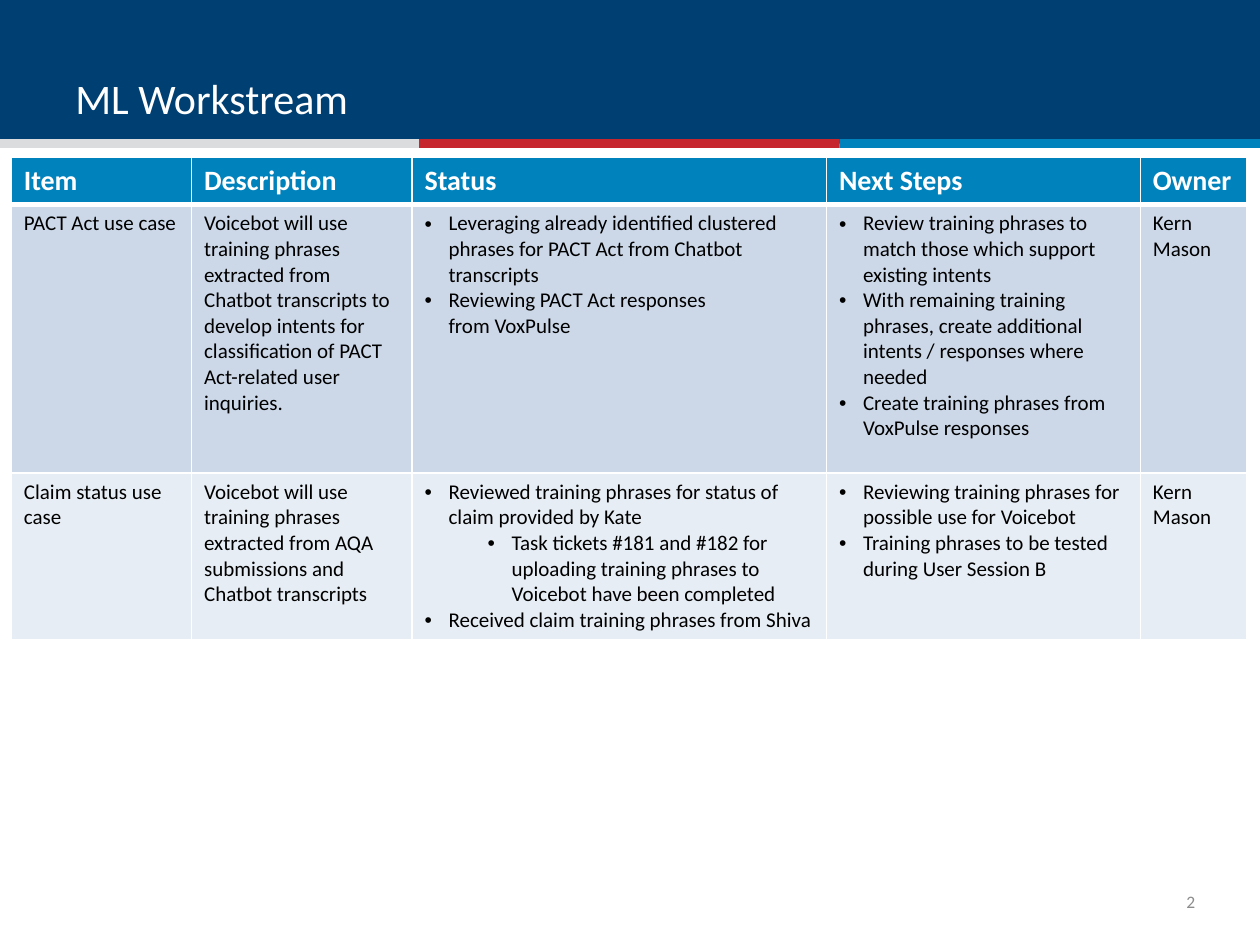
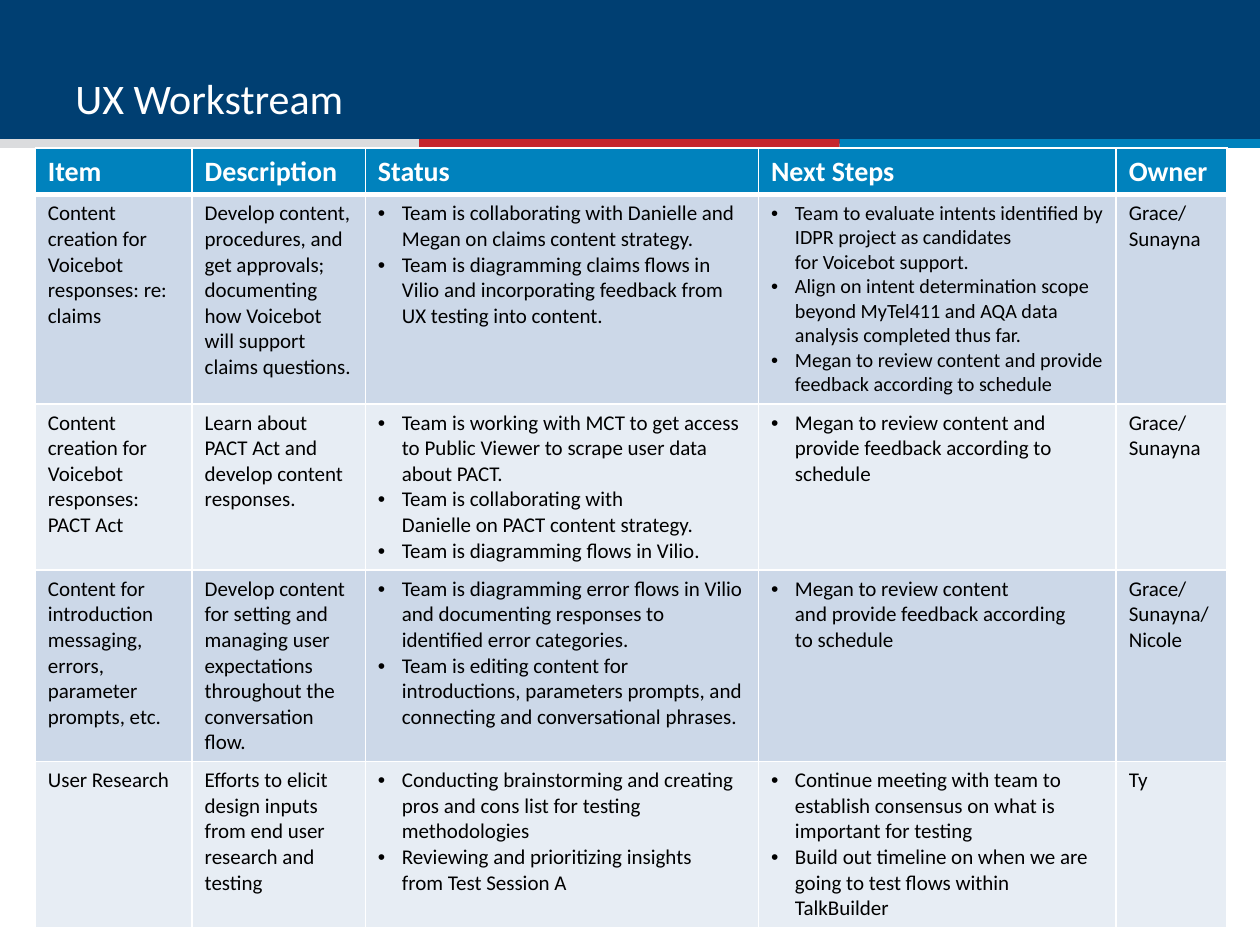
from lxml.etree import SubElement
from pptx import Presentation
from pptx.dml.color import RGBColor
from pptx.enum.shapes import MSO_SHAPE
from pptx.enum.text import MSO_ANCHOR, PP_ALIGN
from pptx.oxml import parse_xml
from pptx.oxml.ns import nsdecls, qn
from pptx.util import Inches, Pt

COLORS = {
    "navy": "003F72", "silver": "DBDCDE", "red": "C6262D", "blue": "0082BD",
    "white": "FFFFFF", "black": "000000", "gray": "8C8C8C",
    "dark row": "CCD8E8", "light row": "E7EDF4",
}
FONT = "Calibri"
HEADERS = ["Item", "Description", "Status", "Next Steps", "Owner"]
BULLET_INDENT = 0.19
LEVEL_INDENT = 0.5
TIE = "~"  # keeps the words on both sides on one line
HARD_SPACE = chr(160)


class Deck:
    """Style and current slide; lengths are cells of a 100 x 75 grid."""

    def __init__(self):
        self.presentation = Presentation()
        self.presentation.slide_width = Inches(10)
        self.presentation.slide_height = Inches(7.5)
        self.cell = self.presentation.slide_width / 100
        self.slide = None

    def grid(self, *lengths):
        return [round(length * self.cell) for length in lengths]

    def start_slide(self, title):
        self.slide = self.presentation.slides.add_slide(self.presentation.slide_layouts[6])
        self.bar(-0.1, 0, 100.1, 11.4, "navy")
        third = 100.1 / 3
        for index, color in enumerate(["silver", "red", "blue"]):
            self.bar(index * third - 0.1, 11.05, third, 0.7, color)
        self.text_box(5, 1.35, 90, 8.9, title, 24, "white", MSO_ANCHOR.BOTTOM)

    def bar(self, left, top, width, height, color):
        shape = self.slide.shapes.add_shape(MSO_SHAPE.RECTANGLE,
                                            *self.grid(left, top, width, height))
        shape.shadow.inherit = False
        shape.fill.solid()
        shape.fill.fore_color.rgb = RGBColor.from_string(COLORS[color])
        shape.line.fill.background()

    def run(self, paragraph, text, size, color, bold=False):
        run = paragraph.add_run()
        run.text = text.replace(TIE, HARD_SPACE)
        run.font.name = FONT
        run.font.size = Pt(size)
        run.font.bold = bold
        run.font.color.rgb = RGBColor.from_string(COLORS[color])

    def text_box(self, left, top, width, height, text, size, color, anchor):
        frame = self.slide.shapes.add_textbox(*self.grid(left, top, width, height)).text_frame
        frame.word_wrap = True
        frame.vertical_anchor = anchor
        self.run(frame.paragraphs[0], text, size, color)
        return frame

    def page_number(self, number):
        frame = self.text_box(92.15, 69.55, 2.7, 4, number, 10, "gray", MSO_ANCHOR.MIDDLE)
        frame.margin_left = frame.margin_right = frame.margin_top = frame.margin_bottom = 0
        frame.paragraphs[0].alignment = PP_ALIGN.RIGHT

    def bullet(self, paragraph, level):
        paragraph.level = level
        properties = paragraph._p.get_or_add_pPr()
        properties.set("marL", str(Inches(BULLET_INDENT + level * LEVEL_INDENT)))
        properties.set("indent", str(-Inches(BULLET_INDENT)))
        SubElement(properties, qn("a:buFont")).set("typeface", "Arial")
        SubElement(properties, qn("a:buChar")).set("char", "•")

    def borders(self, cell, bottom):
        properties = cell._tc.get_or_add_tcPr()
        for index, (side, width) in enumerate([("L", 1), ("R", 1), ("T", 1), ("B", bottom)]):
            properties.insert(index, parse_xml(
                f'<a:ln{side} {nsdecls("a")} w="{Pt(width)}"><a:solidFill>'
                f'<a:srgbClr val="{COLORS["white"]}"/></a:solidFill></a:ln{side}>'))

    def fill_cell(self, cell, content, size, color, bold):
        """A string holds plain lines; a list holds bullets, with sub-lists one level in."""
        bulleted = isinstance(content, list)
        lines = []
        for item in content if bulleted else content.split("\n"):
            if isinstance(item, list):
                lines += [(text, 1) for text in item]
            else:
                lines.append((item, 0))
        frame = cell.text_frame
        for index, (text, level) in enumerate(lines):
            paragraph = frame.add_paragraph() if index else frame.paragraphs[0]
            if bulleted:
                self.bullet(paragraph, level)
            self.run(paragraph, text, size, color, bold)

    def status_table(self, left, top, columns, rows, items, sizes=None):
        table = self.slide.shapes.add_table(
            len(rows), len(columns), *self.grid(left, top, sum(columns), sum(rows))).table
        for column, width in zip(table.columns, self.grid(*columns)):
            column.width = width
        for row, height in zip(table.rows, self.grid(*rows)):
            row.height = height
        for row_index, contents in enumerate([HEADERS] + items):
            header = row_index == 0
            shade = "blue" if header else "dark row" if row_index % 2 else "light row"
            for column_index, content in enumerate(contents):
                cell = table.cell(row_index, column_index)
                cell.fill.solid()
                cell.fill.fore_color.rgb = RGBColor.from_string(COLORS[shade])
                self.borders(cell, bottom=3 if header else 1)
                size = (sizes or {}).get((row_index, column_index), 16 if header else 12)
                self.fill_cell(cell, content, size, "white" if header else "black", header)


# Table contents
ML_ITEMS = [
    ["PACT Act use case",
     "Voicebot will use training phrases extracted from Chatbot transcripts to develop "
     "intents for classification of PACT Act-related user inquiries.",
     ["Leveraging already identified clustered phrases for~PACT Act from~Chatbot transcripts",
      "Reviewing PACT Act responses from~VoxPulse"],
     ["Review training phrases to match those which support existing intents",
      "With remaining training phrases, create additional intents / responses where needed",
      "Create training phrases from VoxPulse responses"],
     "Kern\nMason"],
    ["Claim status use case",
     "Voicebot will use training phrases extracted from AQA submissions and Chatbot transcripts",
     ["Reviewed training phrases for status of claim provided by Kate",
      ["Task tickets #181 and #182 for uploading training phrases to Voicebot "
       "have been~completed"],
      "Received claim training phrases from Shiva"],
     ["Reviewing training phrases for possible~use for Voicebot",
      "Training phrases to be tested during User Session B"],
     "Kern Mason"],
]
UX_ITEMS = [
    ["Content creation for Voicebot responses: re: claims",
     "Develop content, procedures, and get approvals; documenting how Voicebot will "
     "support claims questions.",
     ["Team is collaborating with Danielle and Megan on claims content strategy.",
      "Team is diagramming claims flows in Vilio and~incorporating~feedback from "
      "UX testing into content."],
     ["Team~to evaluate intents identified by IDPR project as candidates "
      "for~Voicebot support.",
      "Align on intent determination scope beyond MyTel411 and AQA data analysis "
      "completed thus far.",
      "Megan to review content and provide feedback according to~schedule"],
     "Grace/ Sunayna"],
    ["Content creation~for Voicebot responses: PACT Act",
     "Learn about PACT Act and develop content responses.",
     ["Team is working with MCT to get access to Public Viewer to scrape user data about PACT.",
      "Team is collaborating with Danielle~on~PACT content~strategy.",
      "Team is diagramming flows in Vilio."],
     ["Megan to review content and provide feedback according to schedule"],
     "Grace/\nSunayna"],
    ["Content for introduction messaging, errors, parameter prompts, etc.",
     "Develop content for setting and managing user expectations throughout the "
     "conversation flow.",
     ["Team is diagramming error flows in Vilio and documenting responses to identified "
      "error categories.",
      "Team is editing content for introductions, parameters prompts, and connecting and "
      "conversational phrases."],
     ["Megan to review content and~provide feedback according to~schedule"],
     "Grace/\nSunayna/\nNicole"],
    ["User Research",
     "Efforts to elicit design inputs from end user research and testing",
     ["Conducting brainstorming and creating pros and cons list for testing methodologies",
      "Reviewing and prioritizing insights from~Test Session A"],
     ["Continue meeting with team to establish consensus on what is important for testing",
      "Build out timeline on when we are going to test flows within TalkBuilder"],
     "Ty"],
]


def main():
    deck = Deck()

    # ML workstream
    deck.start_slide("ML Workstream")
    deck.page_number("2")
    deck.status_table(0.9, 12.5, [14.3, 17.5, 32.9, 24.9, 8.45], [3.75, 21.3, 13.2], ML_ITEMS)

    # UX workstream
    deck.start_slide("UX Workstream")
    deck.status_table(2.8, 11.75, [12.45, 13.75, 31.2, 28.4, 8.8],
                      [3.7, 16.6, 13.2, 15.2, 13.2], UX_ITEMS, sizes={(1, 3): 11.5})

    deck.presentation.save("out.pptx")


if __name__ == "__main__":
    main()
